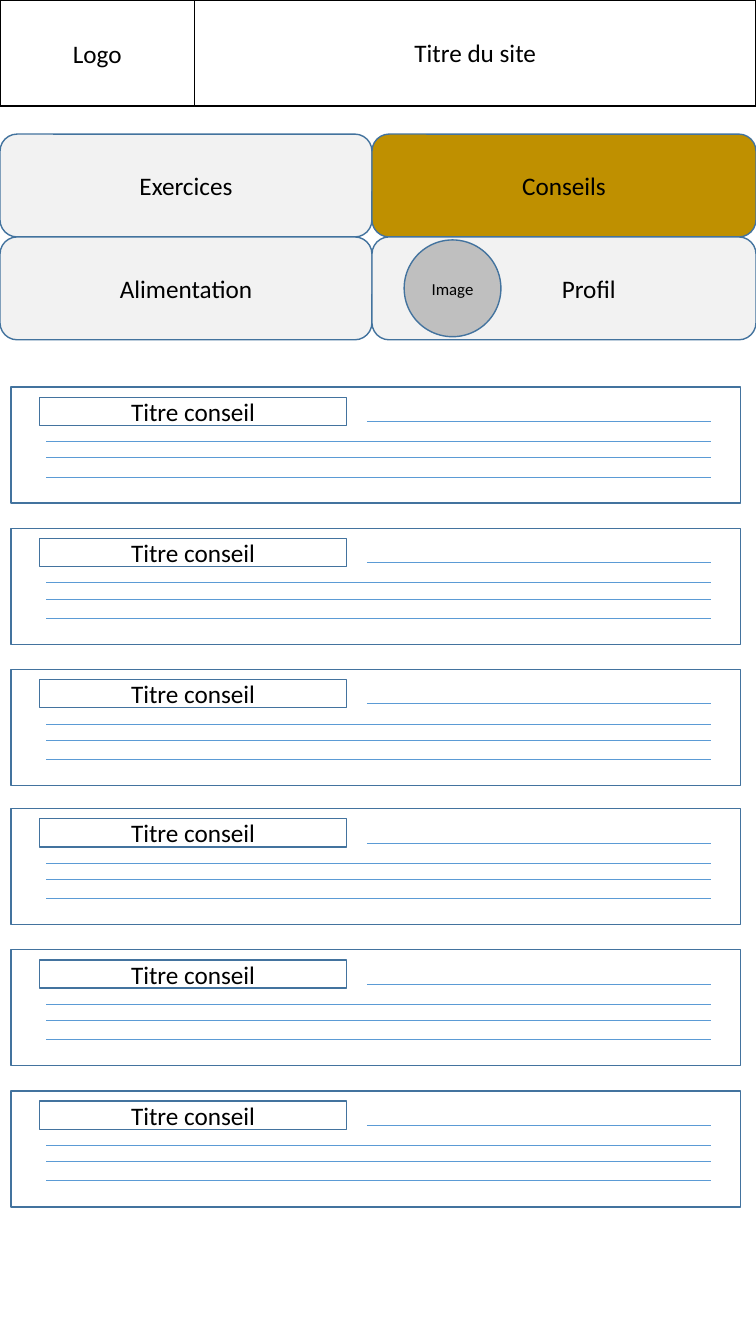
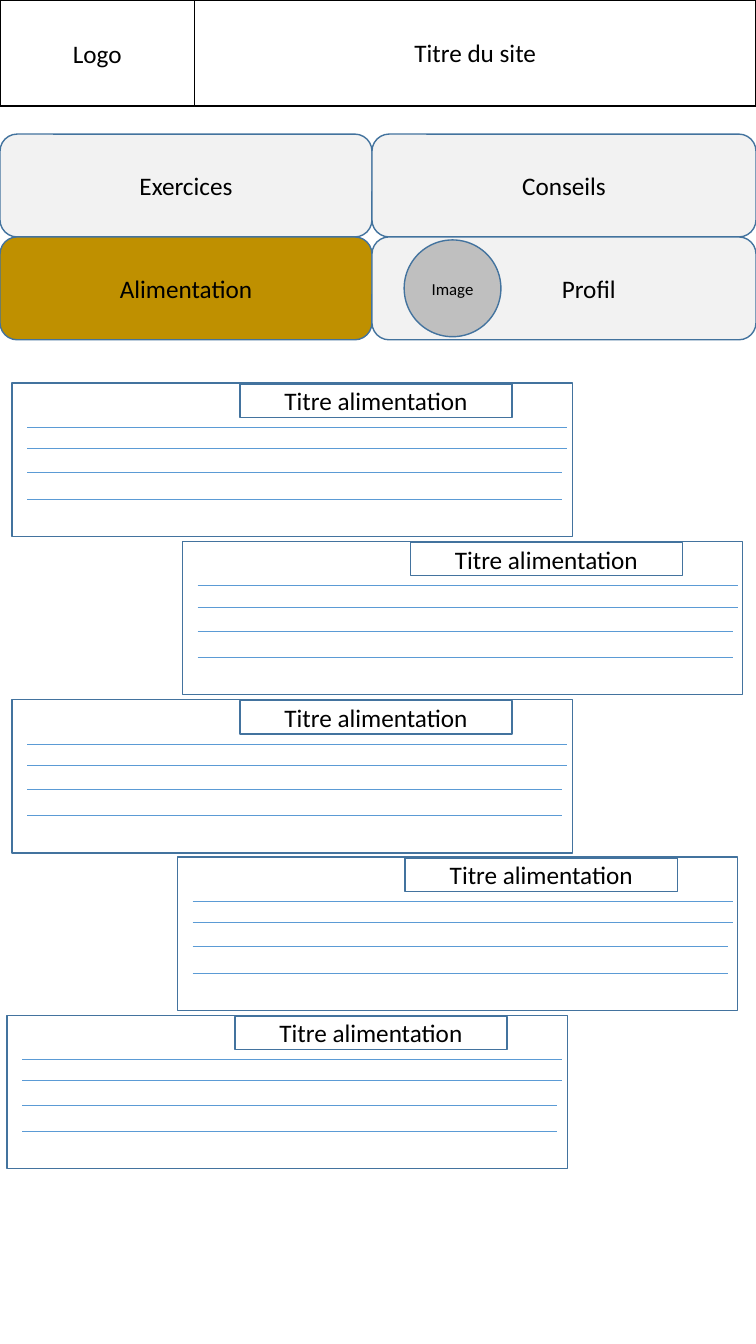
from lxml.etree import SubElement
from pptx import Presentation
from pptx.dml.color import RGBColor as Rgb
from pptx.enum.shapes import MSO_CONNECTOR as Link, MSO_SHAPE as Kind
from pptx.enum.text import MSO_ANCHOR as Anchor, MSO_AUTO_SIZE as Fit, PP_ALIGN as Align
from pptx.oxml.ns import qn
from pptx.util import Pt

PX = 9144
WIDTH, HEIGHT = 750, 1333
FONT = "Calibri"
INK = {
    "black": "000000",
    "white": "FFFFFF",
    "pale": "F2F2F2",
    "gold": "BF9000",
    "grey": "BFBFBF",
    "edge": "43739E",
    "rule": "5B9BD5",
}
TABS = (
    ("Exercices", 0, 133, 369, 10),
    ("Conseils", 369, 133, 381, 10),
    ("Alimentation", 0, 235, 369, 10),
    ("Profil", 369, 235, 381, 59),
)
ADVICE = {
    "size": (724, 115),
    "label": "Titre conseil",
    "head": (28, 10, 305, 28),
    "rules": ((353, 34, 694), (35, 54, 694), (35, 70, 694), (35, 89, 694)),
}
FOOD = {
    "size": (556, 152),
    "label": "Titre alimentation",
    "head": (226, 1, 270, 33),
    "rules": ((15, 44, 551), (15, 65, 551), (15, 89, 546), (15, 115, 546)),
}


def tint(name):
    return Rgb.from_string(INK[name])


def scale(*lengths):
    return [length * PX for length in lengths]


def write(shape, text, size=18, inset=10):
    frame = shape.text_frame
    frame.word_wrap = True
    frame.auto_size = Fit.NONE
    frame.vertical_anchor = Anchor.MIDDLE
    frame.margin_left = inset * PX
    para = frame.paragraphs[0]
    para.alignment = Align.CENTER
    run = para.add_run()
    run.text = text
    run.font.name = FONT
    run.font.size = Pt(size)
    run.font.color.rgb = tint("black")


def paint(shape, fill, edge):
    shape.fill.solid()
    shape.fill.fore_color.rgb = tint(fill)
    shape.line.color.rgb = tint(edge)
    shape.line.width = Pt(1)


def box(slide, area, text="", kind=Kind.RECTANGLE, fill="white", edge="edge", **style):
    shape = slide.shapes.add_shape(kind, *scale(*area))
    shape.shadow.inherit = False
    paint(shape, fill, edge)
    if text:
        write(shape, text, **style)


def rule(slide, left, right, top):
    line = slide.shapes.add_connector(Link.STRAIGHT, *scale(left, top, right, top))
    line.line.color.rgb = tint("rule")
    line.line.width = Pt(0.5)
    SubElement(line._element.spPr, qn("a:effectLst"))


def banner(slide):
    title = slide.shapes.title
    title.left, title.top, title.width, title.height = scale(193, 0, 557, 105)
    paint(title, "white", "black")
    write(title, "Titre du site")
    box(slide, (0, 0, 193, 105), "Logo", edge="black")


def menu(slide, active):
    for name, left, top, width, inset in TABS:
        fill = "gold" if name == active else "pale"
        box(slide, (left, top, width, 102), name, Kind.ROUNDED_RECTANGLE, fill, inset=inset)
    box(slide, (401, 238, 96, 96), "Image", Kind.OVAL, "grey", size=12)


def card(slide, left, top, plan):
    box(slide, (left, top, *plan["size"]))
    x, y, width, height = plan["head"]
    box(slide, (left + x, top + y, width, height), plan["label"])
    for start, drop, end in plan["rules"]:
        rule(slide, left + start, left + end, top + drop)


def page(deck, active):
    slide = deck.slides.add_slide(deck.slide_layouts[5])
    banner(slide)
    menu(slide, active)
    return slide


def main():
    deck = Presentation()
    deck.slide_width, deck.slide_height = scale(WIDTH, HEIGHT)

    advice = page(deck, "Conseils")
    for first in (384, 802):
        for row in range(3):
            card(advice, 11, first + 140 * row, ADVICE)

    food = page(deck, "Alimentation")
    for row, left in enumerate((12, 181, 12, 176, 7)):
        card(food, left, round(380 + 156.75 * row), FOOD)

    deck.save("out.pptx")


if __name__ == "__main__":
    main()
